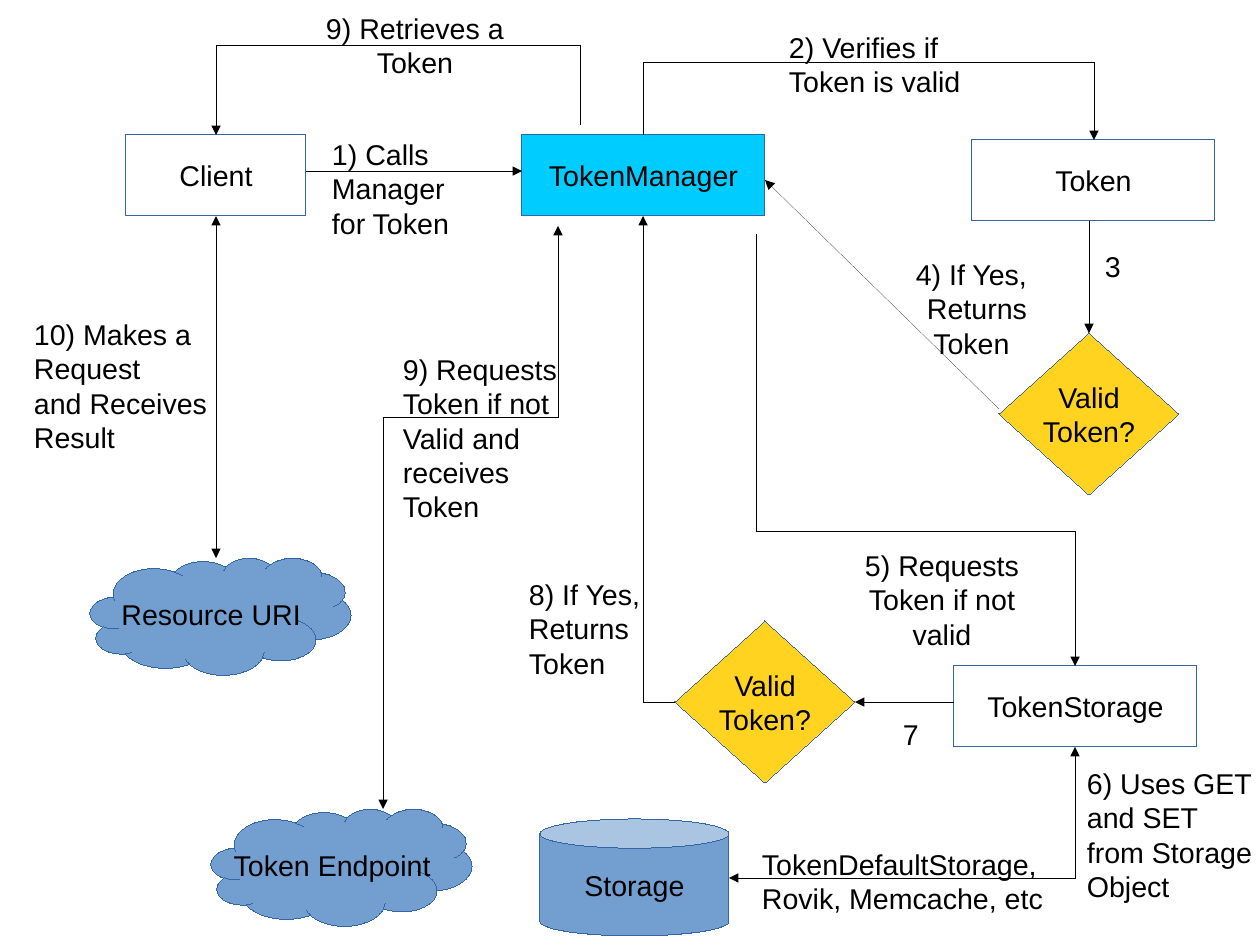
from dataclasses import dataclass
from typing import Optional

from lxml.etree import SubElement
from pptx import Presentation
from pptx.dml.color import RGBColor
from pptx.enum.shapes import MSO_CONNECTOR as Wire, MSO_SHAPE as Form
from pptx.enum.text import MSO_ANCHOR as Anchor, MSO_AUTO_SIZE as Fit, PP_ALIGN as Align
from pptx.oxml.ns import qn
from pptx.util import Pt

PX = 8000
COLORS = {"white": "FFFFFF", "cyan": "00CCFF", "yellow": "FFD320",
          "blue": "729FCF", "edge": "3465A4", "ink": "000000"}
ALIGNS = {"l": Align.LEFT, "c": Align.CENTER, "r": Align.RIGHT}
MARGINS = {"margin_left": 11, "margin_top": 6, "margin_right": 11, "margin_bottom": 6}


@dataclass
class Node:
    text: str
    form: Form
    fill: str
    left: int
    top: int
    width: int
    height: int


@dataclass
class Label:
    text: str
    aligns: str
    left: int
    top: int
    width: int
    height: int


@dataclass
class Route:
    begin: tuple[int, int]
    end: tuple[int, int]
    both_ends: bool = False
    middle: Optional[int] = None
    corner: bool = False


NODES = [
    Node("Client", Form.RECTANGLE, "white", 126, 135, 180, 81),
    Node("TokenManager", Form.RECTANGLE, "cyan", 522, 135, 243, 81),
    Node("Token", Form.RECTANGLE, "white", 972, 140, 243, 81),
    Node("TokenStorage", Form.RECTANGLE, "white", 954, 666, 243, 81),
    Node("Valid\nToken?", Form.DIAMOND, "yellow", 999, 333, 180, 162),
    Node("Valid\nToken?", Form.DIAMOND, "yellow", 675, 621, 180, 162),
    Node("Storage", Form.CAN, "blue", 540, 819, 189, 117),
    Node("Token Endpoint", Form.CLOUD, "blue", 211, 809, 261, 117),
    Node("Resource URI", Form.CLOUD, "blue", 90, 558, 261, 117),
]

ROUTES = [
    Route((306, 171), (522, 171)),
    Route((1089, 221), (1089, 333)),
    Route((999, 409), (765, 180)),
    Route((954, 702), (855, 702)),
    Route((216, 216), (216, 558), both_ends=True),
    Route((643, 135), (1094, 140), middle=62),
    Route((756, 234), (1075, 666), middle=531),
    Route((558, 226), (383, 809), both_ends=True, middle=417),
    Route((580, 125), (216, 135), middle=45),
    Route((729, 878), (1075, 747), both_ends=True, corner=True),
    Route((675, 702), (643, 216), corner=True),
]

LABELS = [
    Label("1) Calls\nManager\nfor Token", "lll", 321, 131, 141, 107),
    Label("2) Verifies if\nToken is valid", "ll", 778, 24, 196, 75),
    Label("3", "l", 1094, 243, 40, 43),
    Label("4) If Yes,\nReturns\nToken", "rrc", 904, 251, 134, 107),
    Label("5) Requests\nToken if not\nvalid", "lcc", 854, 542, 178, 107),
    Label("6) Uses GET\nand SET\nfrom Storage\nObject", "llll", 1076, 760, 196, 139),
    Label("7", "l", 892, 711, 40, 43),
    Label("8) If Yes,\nReturns\nToken", "lll", 518, 571, 135, 107),
    Label("9) Requests\nToken if not\nValid and\nreceives\nToken", "lllll", 392, 346, 178, 171),
    Label("9) Retrieves a\nToken", "lc", 315, 5, 202, 75),
    Label("10) Makes a\nRequest\nand Receives\nResult", "llll", 23, 311, 198, 139),
    Label("TokenDefaultStorage,\nRovik, Memcache, etc", "ll", 751, 841, 306, 75),
]


def color(name: str) -> RGBColor:
    return RGBColor.from_string(COLORS[name])


def apply(target, values: dict) -> None:
    for name, value in values.items():
        setattr(target, name, value)


def scaled(values: dict) -> dict:
    return {name: int(value * PX) for name, value in values.items()}


def write(frame, text: str, aligns: str, values: dict) -> None:
    apply(frame, scaled(MARGINS) | {"word_wrap": False} | values)
    for index, (words, align) in enumerate(zip(text.split("\n"), aligns)):
        para = frame.add_paragraph() if index else frame.paragraphs[0]
        para.alignment = ALIGNS[align]
        span = para.add_run()
        span.text = words
        apply(span.font, {"name": "Arial", "size": Pt(18)})
        span.font.color.rgb = color("ink")


def draw_hairline(shape, name: str):
    shape.line.color.rgb = color(name)
    stroke = shape._element.spPr.find(qn("a:ln"))
    stroke.set("w", "0")
    return stroke


def draw_node(page, node: Node) -> None:
    shape = page.shapes.add_shape(node.form, node.left * PX, node.top * PX,
                                  node.width * PX, node.height * PX)
    shape.shadow.inherit = False
    shape.fill.solid()
    shape.fill.fore_color.rgb = color(node.fill)
    draw_hairline(shape, "edge")
    write(shape.text_frame, node.text, "cc", {"vertical_anchor": Anchor.MIDDLE})


def draw_label(page, label: Label) -> None:
    box = page.shapes.add_textbox(label.left * PX, label.top * PX,
                                  label.width * PX, label.height * PX)
    write(box.text_frame, label.text, label.aligns,
          {"vertical_anchor": Anchor.TOP, "auto_size": Fit.SHAPE_TO_FIT_TEXT})


def set_turn(line, turn: int, flip: bool) -> None:
    frame = line._element.spPr.find(qn("a:xfrm"))
    for name in ("flipH", "flipV"):
        frame.attrib.pop(name, None)
    frame.set("rot", str(turn * 60000))
    if flip:
        frame.set("flipH", "1")


def bend_at(line, route: Route) -> None:
    (x1, y1), (x2, y2) = route.begin, route.end
    width, height = abs(y2 - y1), abs(x2 - x1)
    apply(line, scaled({"left": (x1 + x2 - width) / 2, "top": (y1 + y2 - height) / 2,
                        "width": width, "height": height}))
    set_turn(line, 270 if x2 > x1 else 90, x2 > x1)
    guides = line._element.spPr.find(qn("a:prstGeom")).find(qn("a:avLst"))
    share = round((route.middle - y1) / (y2 - y1) * 100000)
    SubElement(guides, qn("a:gd"), name="adj1", fmla=f"val {share}")


def draw_route(page, route: Route) -> None:
    bent = route.corner or route.middle is not None
    (x1, y1), (x2, y2) = route.begin, route.end
    line = page.shapes.add_connector(Wire.ELBOW if bent else Wire.STRAIGHT,
                                     x1 * PX, y1 * PX, x2 * PX, y2 * PX)
    if route.middle is not None:
        bend_at(line, route)
    if route.corner:
        line._element.spPr.find(qn("a:prstGeom")).set("prst", "bentConnector2")
        if x2 < x1:
            set_turn(line, 180, False)
    stroke = draw_hairline(line, "ink")
    for end in ("a:headEnd", "a:tailEnd")[0 if route.both_ends else 1:]:
        SubElement(stroke, qn(end), type="triangle")
    SubElement(line._element.spPr, qn("a:effectLst"))


def main() -> None:
    deck = Presentation()
    apply(deck, scaled({"slide_width": 1260, "slide_height": 945}))
    page = deck.slides.add_slide(deck.slide_layouts[6])
    for items, draw in ((NODES, draw_node), (ROUTES, draw_route), (LABELS, draw_label)):
        for item in items:
            draw(page, item)
    deck.save("out.pptx")


if __name__ == "__main__":
    main()
